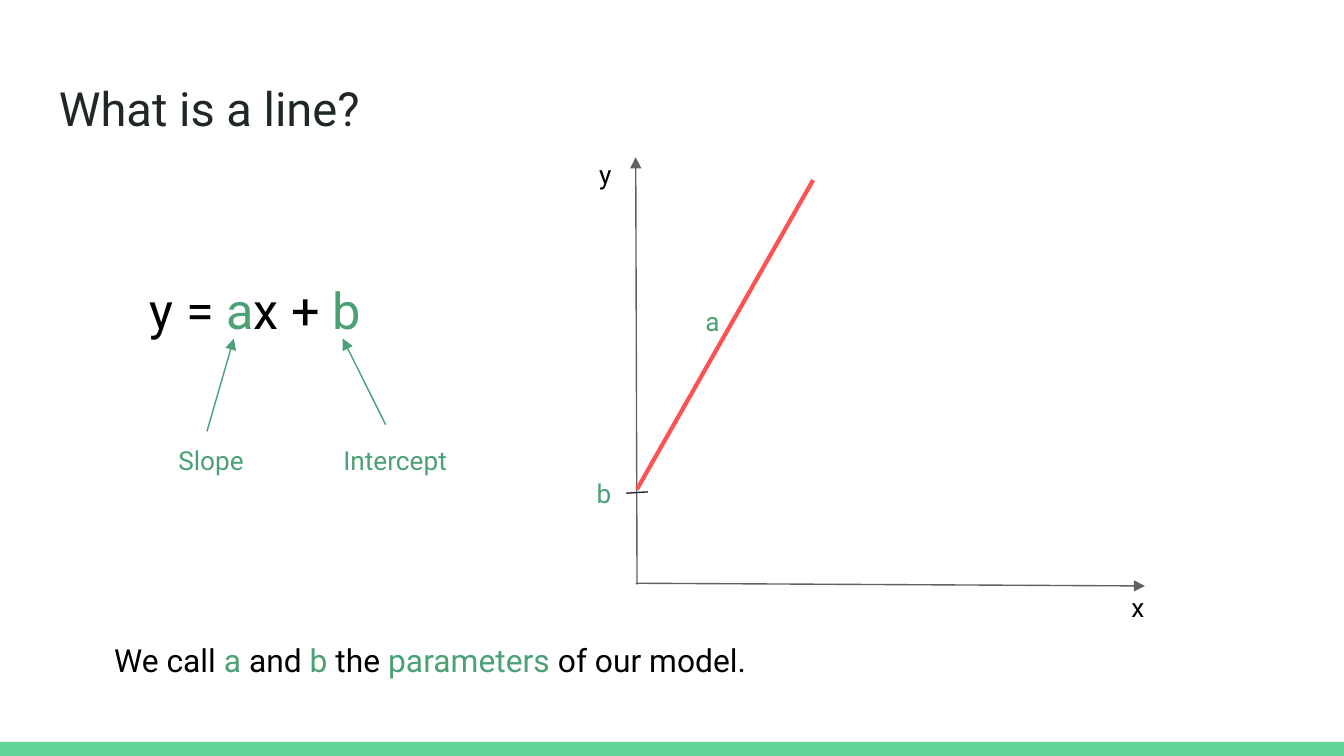
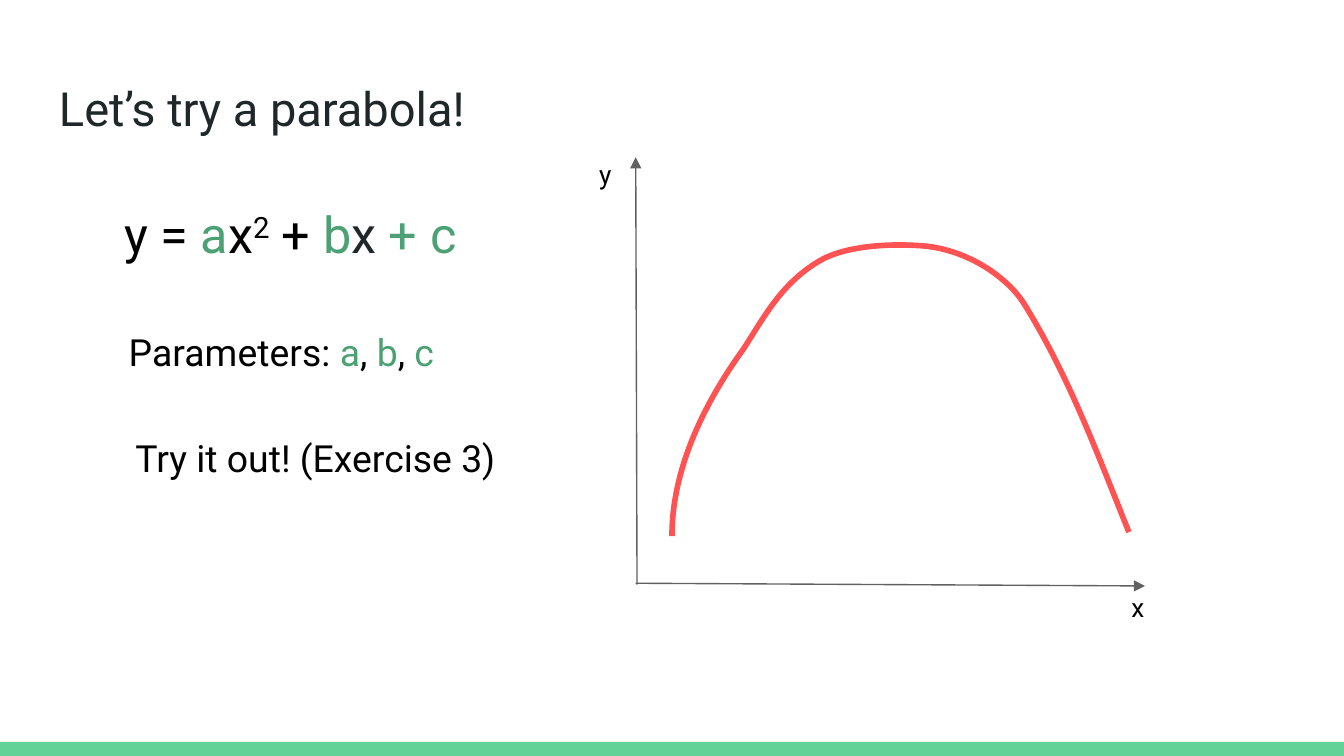
from pptx import Presentation
from pptx.dml.color import RGBColor
from pptx.enum.shapes import MSO_CONNECTOR, MSO_SHAPE
from pptx.enum.text import PP_ALIGN
from pptx.oxml.ns import qn
from pptx.util import Inches, Pt
from lxml import etree

LEFT, CENTER = PP_ALIGN.LEFT, PP_ALIGN.CENTER
STRAIGHT = MSO_CONNECTOR.STRAIGHT
RECT = MSO_SHAPE.RECTANGLE

# Shared look
WIDTH = 10
HEIGHT = WIDTH * 9 / 16
FONT = "Roboto"
INK, BLACK, GREY = "202729", "000000", "616161"
GREEN, BAND, RED = "4BA173", "63D297", "FF5252"
LABEL, BODY, NOTE, MATH, TITLE = 14, 20, 17, 27, 25.2
THIN = 0.75


def color(code):
    return RGBColor.from_string(code)


def text(slide, left, top, width, height, size, runs, align=LEFT):
    """Add one paragraph; each run is (words, colour[, baseline])."""
    box = slide.shapes.add_textbox(
        Inches(left), Inches(top), Inches(width), Inches(height))
    frame = box.text_frame
    frame.word_wrap = True
    frame.margin_left = frame.margin_right = Inches(0.1)
    frame.margin_top = frame.margin_bottom = Inches(0.1)
    para = frame.paragraphs[0]
    para.alignment = align
    para.font.name = FONT
    para.font.size = Pt(size)
    for words, code, *base in runs:
        run = para.add_run()
        run.text = words
        run.font.color.rgb = color(code)
        if base:
            run._r.get_or_add_rPr().set("baseline", str(base[0] * 1000))


def label(slide, left, top, width, words, code=GREEN, align=LEFT):
    text(slide, left, top, width, 0.44, LABEL, [(words, code)], align)


def line(slide, start, end, code, weight=THIN, arrow=False):
    ends = [Inches(value) for value in (*start, *end)]
    link = slide.shapes.add_connector(STRAIGHT, *ends)
    link.line.color.rgb = color(code)
    link.line.width = Pt(weight)
    if arrow:
        tip = etree.SubElement(link.line._get_or_add_ln(), qn("a:tailEnd"))
        tip.set("type", "triangle")
    etree.SubElement(link._element.spPr, qn("a:effectLst"))


def curve(slide, points, code, weight):
    """Draw Bezier arcs: a start point, then three points for each arc."""
    spots = [(Inches(x), Inches(y)) for x, y in points]
    build = slide.shapes.build_freeform(*spots[0])
    build.add_line_segments(spots[1:], close=False)
    shape = build.convert_to_shape()
    shape.shadow.inherit = False
    shape.fill.background()
    shape.line.color.rgb = color(code)
    shape.line.width = Pt(weight)
    # Turn each three straight steps into one cubic arc
    steps = list(shape._element.iter(qn("a:lnTo")))
    route = steps[0].getparent()
    for first in range(0, len(steps), 3):
        arc = etree.SubElement(route, qn("a:cubicBezTo"))
        for step in steps[first:first + 3]:
            arc.append(step[0])
            route.remove(step)


def page(deck, title):
    """Start a slide with its title and bottom band."""
    slide = deck.slides.add_slide(deck.slide_layouts[6])
    band = slide.shapes.add_shape(
        RECT, 0, Inches(5.52), Inches(WIDTH), Inches(HEIGHT - 5.52))
    band.shadow.inherit = False
    band.fill.solid()
    band.fill.fore_color.rgb = color(BAND)
    band.line.fill.background()
    text(slide, 0.34, 0.49, 9.32, 0.63, TITLE, [(title, INK)])
    return slide


def axes(slide):
    line(slide, (4.74, 4.35), (4.73, 1.17), GREY, arrow=True)
    line(slide, (4.73, 4.34), (8.52, 4.36), GREY, arrow=True)
    label(slide, 8.32, 4.3, 0.3, "x", BLACK)
    label(slide, 4.36, 1.08, 0.3, "y", BLACK)


def straight(deck):
    slide = page(deck, "What is a line?")
    # Formula and the names of its parts
    text(slide, 0.61, 1.98, 2.58, 0.66, MATH,
         [("y = ", BLACK), ("a", GREEN), ("x + ", BLACK), ("b", GREEN)],
         CENTER)
    parts = [("Slope", 1.01, (1.54, 3.21), (1.74, 2.52)),
             ("Intercept", 2.38, (2.87, 3.16), (2.55, 2.52))]
    for name, left, start, end in parts:
        line(slide, start, end, GREEN, arrow=True)
        label(slide, left, 3.21, 1.12, name, align=CENTER)
    # Graph
    axes(slide)
    line(slide, (4.74, 3.64), (6.05, 1.34), RED, 2.25)
    line(slide, (4.66, 3.67), (4.82, 3.66), INK)
    label(slide, 4.34, 3.45, 0.32, "b")
    label(slide, 5.15, 2.17, 0.32, "a")
    # Closing note
    text(slide, 0.75, 4.67, 7.51, 0.49, NOTE,
         [("We call ", BLACK), ("a", GREEN), (" and ", BLACK), ("b", GREEN),
          (" the ", BLACK), ("parameters", GREEN), (" of our model.", BLACK)])


def parabola(deck):
    slide = page(deck, "Let’s try a parabola!")
    # Formula
    text(slide, 0.39, 1.41, 3.54, 0.66, MATH,
         [("y = ", BLACK), ("a", GREEN), ("x", BLACK), ("2", BLACK, 30),
          (" + ", BLACK), ("b", GREEN), ("x", INK), (" + c", GREEN)],
         CENTER)
    # Graph
    axes(slide)
    curve(slide,
          [(5, 3.99),
           (5, 3.51), (5.22, 3.03), (5.53, 2.6),
           (5.68, 2.37), (5.81, 2.11), (6.1, 1.94),
           (6.29, 1.83), (6.61, 1.81), (6.87, 1.83),
           (7.21, 1.86), (7.5, 2.07), (7.62, 2.26),
           (7.96, 2.81), (8.17, 3.39), (8.4, 3.96)], RED, 3)
    # Parameters and task
    text(slide, 0.86, 2.35, 3.03, 0.54, BODY,
         [("Parameters: ", BLACK), ("a", GREEN), (", ", BLACK),
          ("b", GREEN), (", ", BLACK), ("c", GREEN)])
    text(slide, 0.91, 3.14, 3.03, 0.54, BODY,
         [("Try it out! (Exercise 3)", BLACK)])


def main():
    deck = Presentation()
    deck.slide_width, deck.slide_height = Inches(WIDTH), Inches(HEIGHT)
    straight(deck)
    parabola(deck)
    deck.save("out.pptx")


main()
